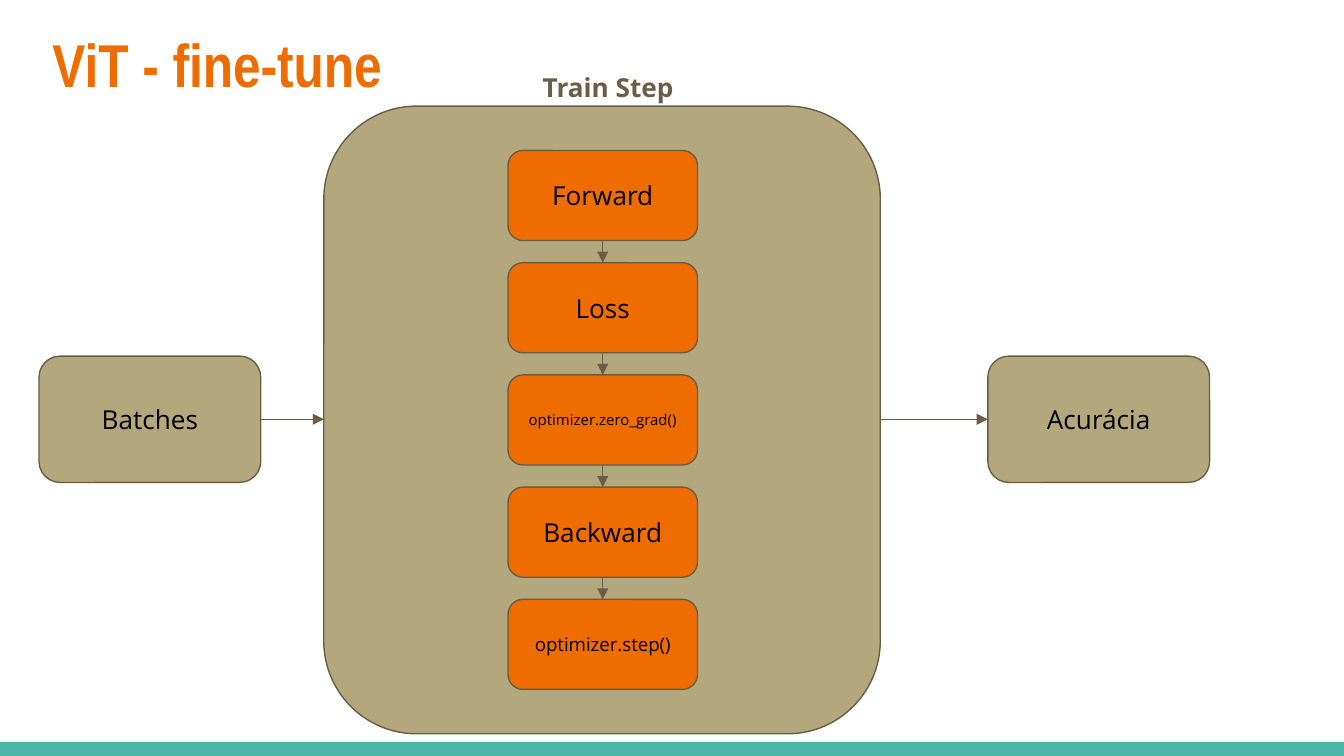
from dataclasses import dataclass
from itertools import pairwise

from lxml import etree
from pptx import Presentation
from pptx import util as u
from pptx.dml.color import RGBColor
from pptx.enum import shapes, text
from pptx.oxml import ns

COLORS = {
    "orange": "EF6C00",
    "sand": "B3A77D",
    "brown": "695D46",
    "teal": "4DB6AC",
    "black": "000000",
}
BODY_FONT = "Open Sans"
TITLE_FONT = "Arial Narrow"


@dataclass
class Box:
    left: float
    top: float
    width: float
    height: float
    fill: str
    label: str = ""
    size: float = 14

    @property
    def middle(self) -> float:
        return self.top + self.height / 2

    @property
    def center(self) -> float:
        return self.left + self.width / 2

    @property
    def right(self) -> float:
        return self.left + self.width

    @property
    def bottom(self) -> float:
        return self.top + self.height


def rgb(name: str) -> RGBColor:
    return RGBColor.from_string(COLORS[name])


def write(frame, words: str, size: float, color: str, font: str = BODY_FONT,
          bold: bool = False, align=text.PP_ALIGN.CENTER,
          anchor=text.MSO_ANCHOR.MIDDLE) -> None:
    frame.margin_left = frame.margin_right = u.Inches(0.1)
    frame.margin_top = frame.margin_bottom = u.Inches(0.1)
    frame.word_wrap = True
    frame.vertical_anchor = anchor
    frame.text = words
    paragraph = frame.paragraphs[0]
    paragraph.alignment = align
    run = paragraph.runs[0]
    run.font.size = u.Pt(size)
    run.font.name = font
    run.font.bold = bold
    run.font.color.rgb = rgb(color)


def draw_box(slide, box: Box) -> None:
    shape = slide.shapes.add_shape(
        shapes.MSO_SHAPE.ROUNDED_RECTANGLE,
        u.Inches(box.left), u.Inches(box.top), u.Inches(box.width), u.Inches(box.height))
    shape.shadow.inherit = False
    shape.fill.solid()
    shape.fill.fore_color.rgb = rgb(box.fill)
    shape.line.color.rgb = rgb("brown")
    shape.line.width = u.Pt(0.75)
    if box.label:
        write(shape.text_frame, box.label, box.size, "black")


def draw_arrow(slide, x1: float, y1: float, x2: float, y2: float) -> None:
    arrow = slide.shapes.add_connector(
        shapes.MSO_CONNECTOR.STRAIGHT,
        u.Inches(x1), u.Inches(y1), u.Inches(x2), u.Inches(y2))
    arrow.line.color.rgb = rgb("brown")
    arrow.line.width = u.Pt(0.75)
    properties = arrow.element.spPr
    outline = properties.find(ns.qn("a:ln"))
    etree.SubElement(outline, ns.qn("a:tailEnd"), type="triangle")
    etree.SubElement(properties, ns.qn("a:effectLst"))


def main() -> None:
    deck = Presentation()
    deck.slide_width = u.Inches(10)
    deck.slide_height = u.Inches(10 * 9 / 16)
    slide = deck.slides.add_slide(deck.slide_layouts[5])

    footer = slide.shapes.add_shape(
        shapes.MSO_SHAPE.RECTANGLE,
        u.Inches(0), u.Inches(5.52), u.Inches(10), u.Inches(0.11))
    footer.shadow.inherit = False
    footer.fill.solid()
    footer.fill.fore_color.rgb = rgb("teal")
    footer.line.fill.background()

    title = slide.shapes.title
    title.left, title.top = u.Inches(0.29), u.Inches(0.1)
    title.width, title.height = u.Inches(9.32), u.Inches(0.77)
    write(title.text_frame, "ViT - fine-tune", 32.4, "orange", TITLE_FONT, True,
          text.PP_ALIGN.LEFT, text.MSO_ANCHOR.TOP)

    batches = Box(0.29, 2.65, 1.65, 0.94, "sand", "Batches")
    train_step = Box(2.41, 0.79, 4.14, 4.67, "sand")
    accuracy = Box(7.35, 2.65, 1.65, 0.94, "sand", "Acurácia")
    operations = [("Forward", 14), ("Loss", 14), ("optimizer.zero_grad()", 8),
                  ("Backward", 14), ("optimizer.step()", 10)]
    first_top, last_top = 1.12, 4.46
    pitch = (last_top - first_top) / (len(operations) - 1)
    steps = [Box(3.78, first_top + pitch * row, 1.41, 0.67, "orange", label, size)
             for row, (label, size) in enumerate(operations)]

    for box in [batches, train_step, *steps, accuracy]:
        draw_box(slide, box)
    for upper, lower in pairwise(steps):
        draw_arrow(slide, upper.center, upper.bottom, lower.center, lower.top)
    for source, target in pairwise([batches, train_step, accuracy]):
        draw_arrow(slide, source.right, batches.middle, target.left, batches.middle)

    heading = slide.shapes.add_textbox(
        u.Inches(3.15), u.Inches(0.43), u.Inches(2.75), u.Inches(0.44))
    write(heading.text_frame, "Train Step", 14, "brown", bold=True,
          anchor=text.MSO_ANCHOR.TOP)

    deck.save("out.pptx")


if __name__ == "__main__":
    main()
